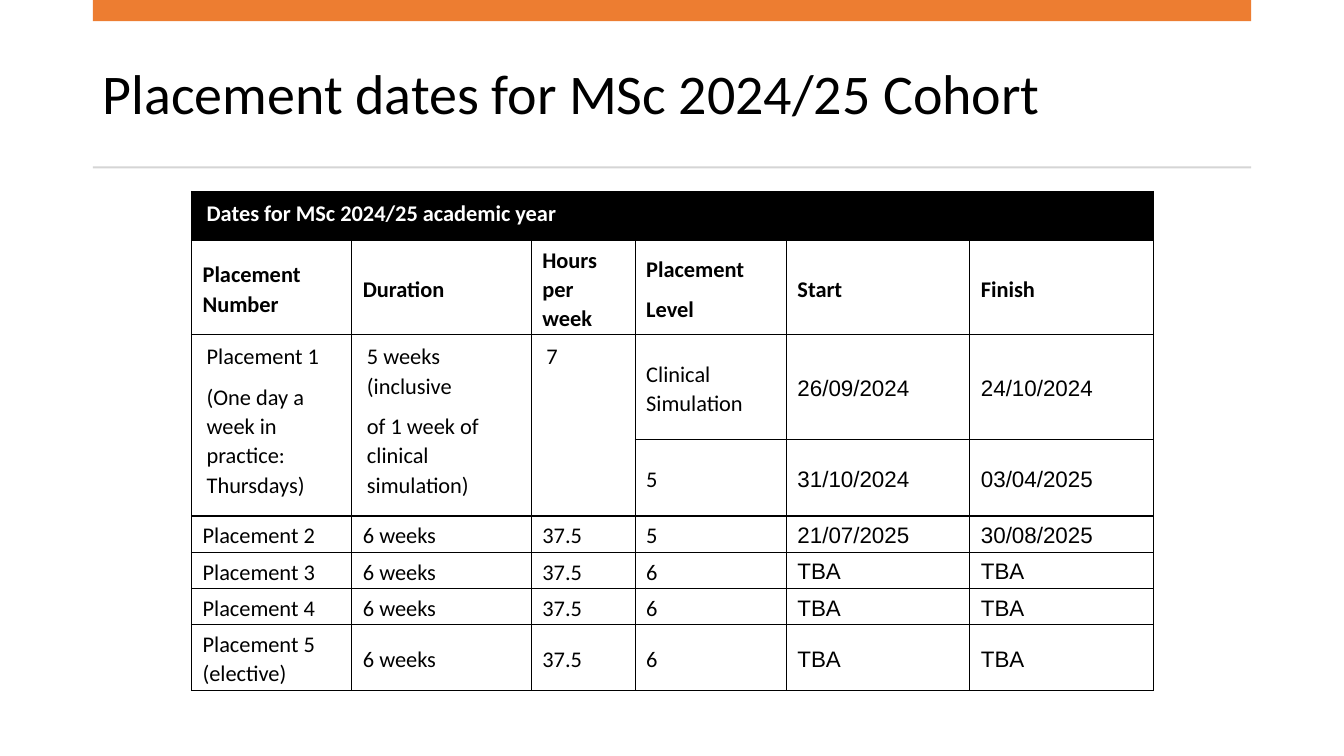
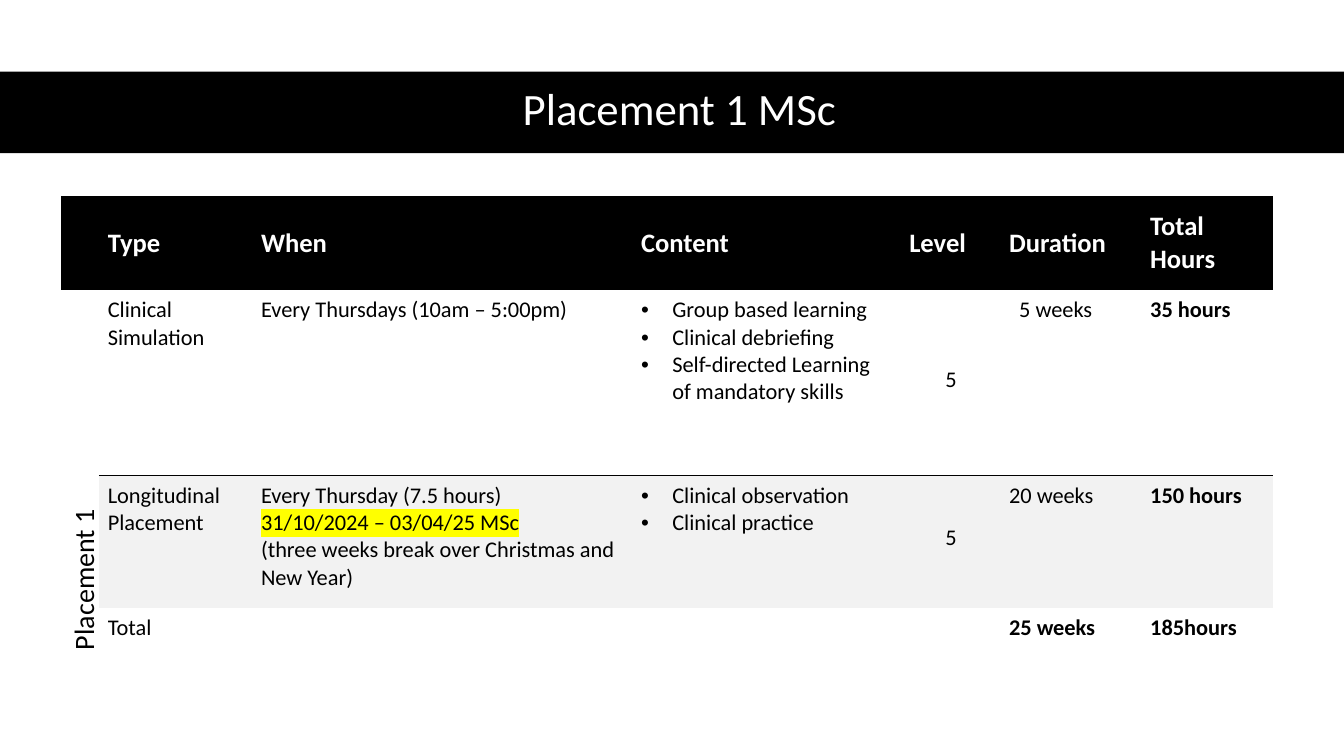
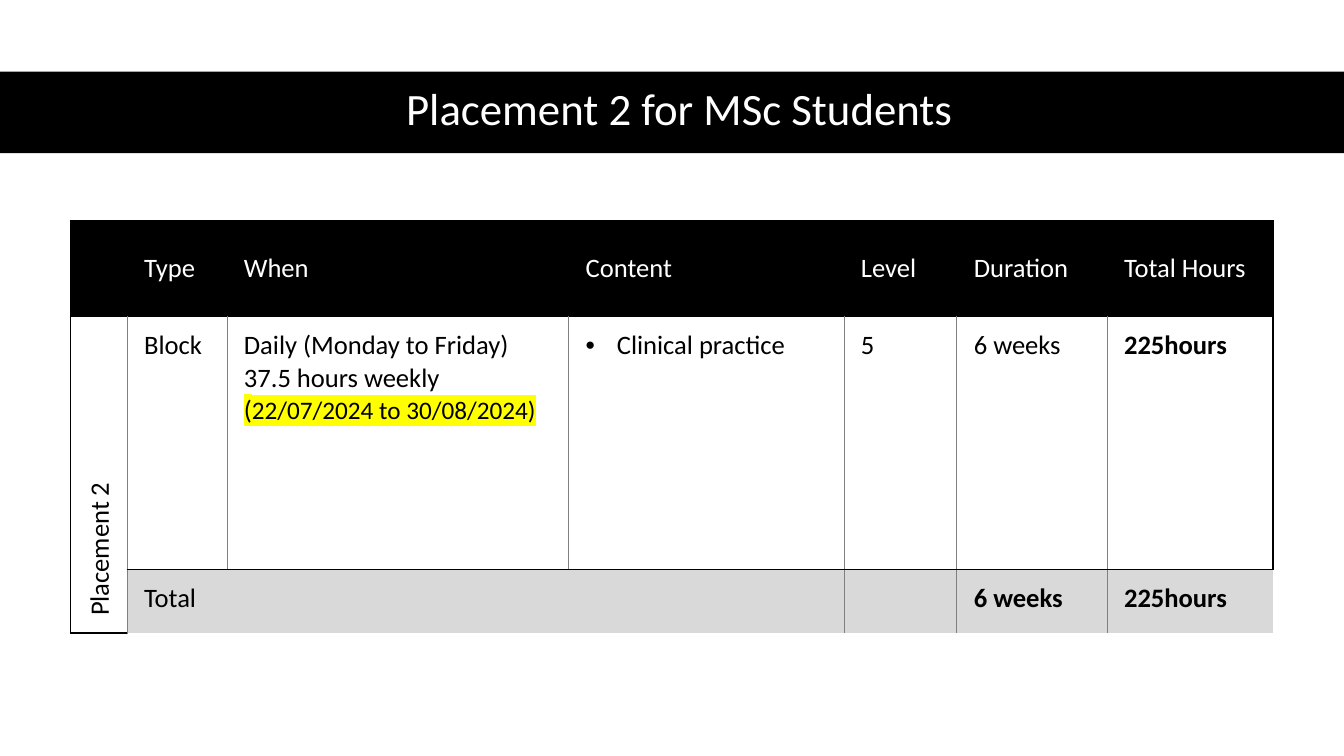
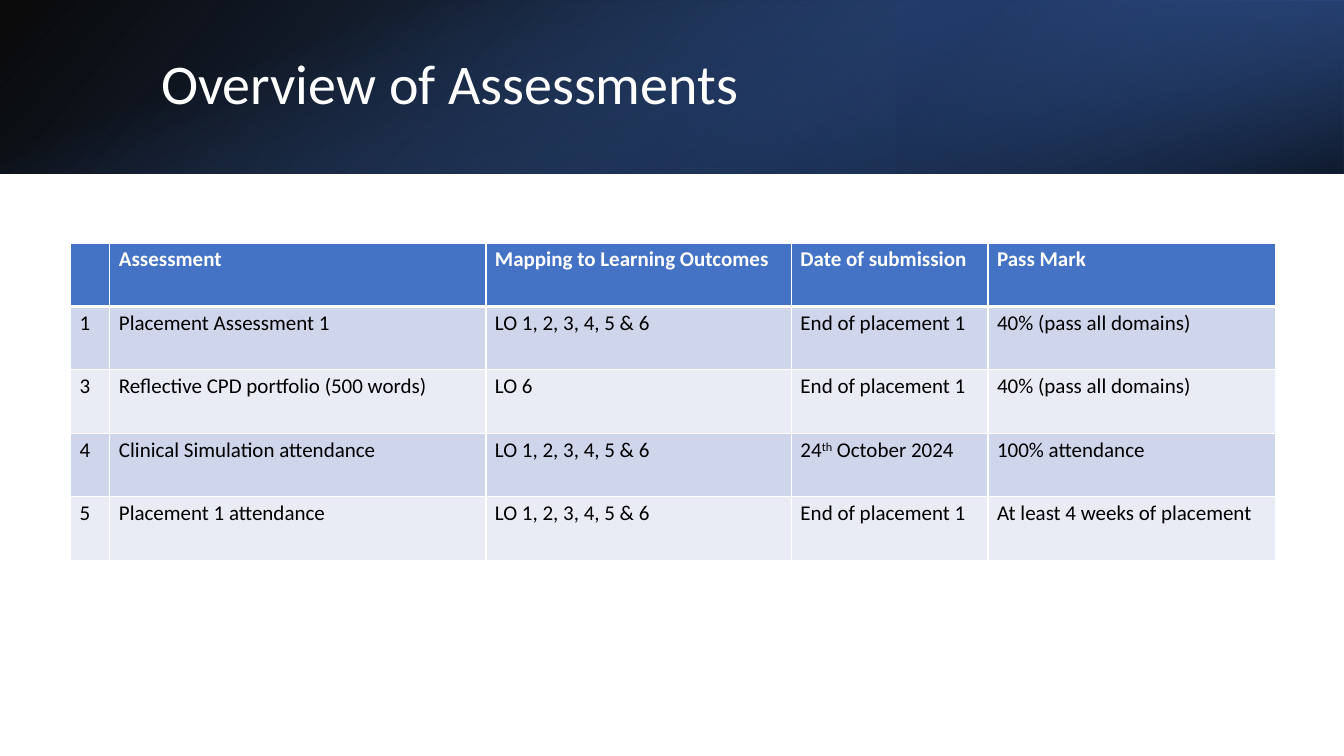
from lxml import etree
from pptx import Presentation
from pptx import util as u
from pptx.dml.color import RGBColor
from pptx.enum import shapes, text
from pptx.oxml.ns import qn

BLACK, WHITE = "000000", "FFFFFF"
ORANGE, RULE_GREY, LINE_GREY = "ED7D31", "D5D5D5", "808080"
BAND_GREY, TOTAL_GREY, YELLOW = "F2F2F2", "D9D9D9", "FFFF00"
BLUE, NAVY, MID_BLUE = "4472C4", "203864", "2F5597"
STRIPES = ["CFD5EA", "E9EBF5"]

MIDDLE = text.MSO_ANCHOR.MIDDLE
CENTER = text.PP_ALIGN.CENTER
FONT_KEYS = ["name", "size", "bold"]
PARA_KEYS = ["alignment", "line_spacing", "space_after"]
BASE = {"name": "Calibri", "color": BLACK, "bold": False}


def rgb(value):
    return RGBColor.from_string(value)


def apply(obj, fmt, keys):
    for key in keys:
        if key in fmt:
            setattr(obj, key, fmt[key])


def add(parent, tag, **attrs):
    return etree.SubElement(parent, qn(tag), {k: str(v) for k, v in attrs.items()})


def write_run(p, content, fmt):
    r = p.add_run()
    r.text = content
    apply(r.font, fmt, FONT_KEYS)
    r.font.color.rgb = rgb(fmt["color"])
    props = r.font._element
    if "highlight" in fmt:
        mark = etree.Element(qn("a:highlight"))
        add(mark, "a:srgbClr", val=fmt["highlight"])
        props.find(qn("a:solidFill")).addnext(mark)
    if "baseline" in fmt:
        props.set("baseline", str(fmt["baseline"] * 1000))


def write_text(tf, paragraphs, fmt):
    for i, runs in enumerate(paragraphs):
        p = tf.add_paragraph() if i else tf.paragraphs[0]
        props = p._p.get_or_add_pPr()
        if "indent" in fmt:
            props.set("marL", str(u.Inches(fmt["indent"])))
        if "bullet" in fmt:
            props.set("indent", str(-u.Inches(fmt["indent"])))
            add(props, "a:buFont", typeface="Arial")
            add(props, "a:buChar", char=fmt["bullet"])
        apply(p, fmt, PARA_KEYS)
        for run in [runs] if isinstance(runs, str) else runs:
            content, extra = (run, {}) if isinstance(run, str) else run
            write_run(p, content, fmt | extra)


def add_rect(s, left, top, width, height, fill=None, gradient=None, angle=0, rotation=0, flip=False):
    sp = s.shapes.add_shape(shapes.MSO_SHAPE.RECTANGLE, *map(u.Inches, (left, top, width, height)))
    if gradient:
        grad = add(sp._element.spPr, "a:gradFill", rotWithShape=1)
        stops = add(grad, "a:gsLst")
        for position, color, opacity in gradient:
            stop = add(stops, "a:gs", pos=position * 1000)
            add(add(stop, "a:srgbClr", val=color), "a:alpha", val=opacity * 1000)
        add(grad, "a:lin", ang=angle * 60000, scaled=0)
    else:
        sp.fill.solid()
        sp.fill.fore_color.rgb = rgb(fill)
    sp.line.fill.background()
    sp.shadow.inherit = False
    sp.rotation = rotation
    if flip:
        sp._element.spPr.find(qn("a:xfrm")).set("flipH", "1")


def add_title(s, content, left, top, width, height, **fmt):
    tf = s.shapes.add_textbox(*map(u.Inches, (left, top, width, height))).text_frame
    tf.word_wrap = True
    tf.vertical_anchor = MIDDLE
    write_text(tf, [content], BASE | {"line_spacing": 0.9} | fmt)


def cell(*paragraphs, **fmt):
    return paragraphs, fmt


def style_cell(c, fmt):
    props = c._tc.get_or_add_tcPr()
    for side in "LRTB":
        color, width = fmt.get("borders", {}).get(side, (None, 0))
        line = add(props, "a:ln" + side, w=u.Pt(width))
        if color:
            add(add(line, "a:solidFill"), "a:srgbClr", val=color)
        else:
            add(line, "a:noFill")
    if "fill" in fmt:
        c.fill.solid()
        c.fill.fore_color.rgb = rgb(fmt["fill"])
    else:
        c.fill.background()


def fill_cell(c, paragraphs, fmt):
    sides = ["margin_left", "margin_top", "margin_right", "margin_bottom"]
    apply(c, dict(zip(sides, map(u.Inches, fmt["margins"]))), sides)
    apply(c, fmt, ["vertical_anchor"])
    if "vert" in fmt:
        c._tc.get_or_add_tcPr().set("vert", fmt["vert"])
    write_text(c.text_frame, paragraphs, fmt)


def add_table(s, left, top, widths, rows, **table_fmt):
    heights = [height for height, _, _ in rows]
    frame = s.shapes.add_table(len(rows), len(widths), *map(
        u.Inches, (left, top, sum(widths), sum(heights))))
    tbl = frame.table
    tbl.first_row = tbl.horz_banding = False
    for column, width in zip(tbl.columns, widths):
        column.width = u.Inches(width)
    for i, (height, row_fmt, cells) in enumerate(rows):
        tbl.rows[i].height = u.Inches(height)
        for j, item in enumerate(cells):
            paragraphs, extra = item if isinstance(item, tuple) else ([item] if item else [], {})
            fmt = BASE | table_fmt | row_fmt | extra
            c = tbl.cell(i, j)
            style_cell(c, fmt)
            if paragraphs:
                fill_cell(c, paragraphs, fmt)
            if "span" in fmt:
                down, across = fmt["span"]
                c.merge(tbl.cell(i + down - 1, j + across - 1))


def frame_lines(color, width, sides="LRTB"):
    return {side: (color, width) for side in sides}


def bullets(*items):
    return cell(*items, bullet="•", indent=0.31)


def new_slide(prs):
    return prs.slides.add_slide(prs.slide_layouts[6])


def band_slide(prs, title):
    s = new_slide(prs)
    add_rect(s, 0, 0.71, 13.33, 0.81, BLACK)
    add_title(s, title, 0.61, 0.7, 12.26, 0.81, size=u.Pt(32), color=WHITE, alignment=CENTER)
    return s


def dates_slide(prs):
    s = new_slide(prs)
    add_title(s, "Placement dates for MSc 2024/25 Cohort", 0.92, 0.37, 11.49, 1.18, size=u.Pt(40))
    add_rect(s, 0.92, 0, 11.49, 0.21, ORANGE)
    add_rect(s, 0.92, 1.65, 11.49, 0.02, RULE_GREY)

    tight = {"vertical_anchor": MIDDLE, "margins": (0.11, 0.02, 0.11, 0)}
    roomy = {"vertical_anchor": text.MSO_ANCHOR.TOP, "margins": (0.15, 0.07, 0.15, 0.07)}
    tall = roomy | {"span": (2, 1)}

    def dated(height, *cells):
        return height, tight, [*cells[:-2], *(cell(d, name="Arial") for d in cells[-2:])]

    rows = [
        (0.49, roomy | {"fill": BLACK, "color": WHITE, "bold": True},
         [cell("Dates for MSc 2024/25 academic year", span=(1, 6))] + [None] * 5),
        (0.93, tight | {"bold": True},
         ["Placement Number", "Duration", "Hours per week", cell("Placement", "Level"), "Start", "Finish"]),
        dated(1.04,
              cell("Placement 1", "(One day a week in practice: Thursdays)", **tall),
              cell("5 weeks (inclusive", "of 1 week of clinical simulation)", **tall),
              cell("7", **tall), "Clinical Simulation", "26/09/2024", "24/10/2024"),
        dated(0.76, None, None, None, "5", "31/10/2024", "03/04/2025"),
    ]
    blocks = [
        (0.36, "Placement 2", "5", "21/07/2025", "30/08/2025"),
        (0.36, "Placement 3", "6", "TBA", "TBA"),
        (0.36, "Placement 4", "6", "TBA", "TBA"),
        (0.65, "Placement 5 (elective)", "6", "TBA", "TBA"),
    ]
    rows += [dated(height, name, "6 weeks", "37.5", *rest) for height, name, *rest in blocks]
    add_table(s, 1.9, 1.9, [1.59, 1.78, 1.03, 1.5, 1.82, 1.82], rows, size=u.Pt(16),
              line_spacing=1.07, space_after=u.Pt(8), borders=frame_lines(BLACK, 1))


def placement_1_slide(prs):
    s = band_slide(prs, "Placement 1 MSc")
    header = {"fill": BLACK, "color": WHITE, "bold": True, "size": u.Pt(19),
              "vertical_anchor": MIDDLE, "margins": (0.09, 0.13, 0.07, 0.13)}
    level = cell("5", alignment=CENTER, vertical_anchor=MIDDLE)
    rows = [
        (0.94, header, [None, "Type", "When", "Content", "Level", "Duration", "Total Hours"]),
        (1.84, {"borders": frame_lines(BLACK, 1, "B")}, [
            cell("Placement 1", span=(3, 1), vert="vert270", size=u.Pt(20),
                 vertical_anchor=MIDDLE, borders={}),
            "Clinical Simulation", "Every Thursdays (10am – 5:00pm)",
            bullets("Group based learning", "Clinical debriefing",
                    "Self-directed Learning of mandatory skills"),
            level, cell("5 weeks", indent=0.1), cell("35 hours", bold=True)]),
        (1.31, {"fill": BAND_GREY, "borders": frame_lines(BLACK, 1, "T")}, [
            cell(borders={}), "Longitudinal Placement",
            cell("Every Thursday (7.5 hours)",
                 [("31/10/2024 – 03/04/25 MSc", {"highlight": YELLOW})],
                 "(three weeks break over Christmas and New Year)"),
            bullets("Clinical observation", "Clinical practice"),
            level, "20 weeks", cell("150 hours", bold=True)]),
        (0.51, {}, [None, cell("Total", span=(1, 3)), None, None, None,
                    cell("25 weeks", bold=True), cell("185hours", bold=True)]),
    ]
    add_table(s, 0.61, 1.94, [0.37, 1.52, 3.77, 2.66, 0.99, 1.4, 1.31], rows,
              size=u.Pt(16), margins=(0.09, 0.06, 0.07, 0.13))


def placement_2_slide(prs):
    s = band_slide(prs, "Placement 2 for MSc Students")
    thin = frame_lines(LINE_GREY, 0.5, "LR")
    body = thin | frame_lines(BLACK, 1.5, "B")
    total = thin | frame_lines(BLACK, 1.5, "T")
    side = body | frame_lines(BLACK, 1.5, "L")
    marked = {"highlight": YELLOW}
    rows = [
        (0.95, {"fill": BLACK, "color": WHITE, "vertical_anchor": MIDDLE,
                "borders": frame_lines(BLACK, 1.5)},
         [None, "Type", "When", "Content", "Level", "Duration", "Total Hours"]),
        (2.51, {"borders": body}, [
            cell("Placement 2", span=(2, 1), vert="vert270", borders=side),
            "Block",
            cell("Daily (Monday to Friday)",
                 ["37.5 hours weekly ", ("(", marked),
                  ("22/07/2024 to 30/08/2024)", marked | {"size": u.Pt(18)})]),
            bullets("Clinical practice"), "5", "6 weeks",
            cell("225hours", bold=True, borders=body | frame_lines(BLACK, 1.5, "R"))]),
        (0.63, {"fill": TOTAL_GREY, "borders": total}, [
            cell(borders=side), cell("Total", span=(1, 3)), None, None, None,
            cell("6 weeks", bold=True),
            cell("225hours", bold=True, borders={k: total[k] for k in "LT"})]),
    ]
    add_table(s, 0.7, 2.19, [0.56, 0.99, 3.39, 2.73, 1.12, 1.49, 1.65], rows,
              size=u.Pt(19), margins=(0.17, 0.13, 0.15, 0.13))


def assessments_slide(prs):
    s = new_slide(prs)
    add_rect(s, 0, 0, 13.33, 1.72, gradient=[(0, BLACK, 96), (100, MID_BLUE, 100)],
             angle=140, flip=True)
    add_rect(s, 8.89, 0, 4.44, 1.72, gradient=[(19, NAVY, 68), (100, BLUE, 79)],
             angle=320, rotation=180, flip=True)
    add_rect(s, 5.8, -5.8, 1.72, 13.33, gradient=[(23, BLUE, 0), (99, BLACK, 74)],
             angle=340, rotation=90)
    add_title(s, "Overview of Assessments", 1.5, 0.38, 10.98, 0.96, size=u.Pt(40), color=WHITE)

    grid = frame_lines(WHITE, 1)
    thick = frame_lines(WHITE, 3, "B")
    all_outcomes, end, pass_mark = "LO 1, 2, 3, 4, 5 & 6", "End of placement 1", "40% (pass all domains)"
    october = cell(["24", ("th", {"baseline": 30}), " October 2024"])
    assessments = [
        ["1", "Placement Assessment 1", all_outcomes, end, pass_mark],
        ["3", "Reflective CPD portfolio (500 words)", "LO 6", end, pass_mark],
        ["4", "Clinical Simulation attendance", all_outcomes, october, "100% attendance"],
        ["5", "Placement 1 attendance", all_outcomes, end, "At least 4 weeks of placement"],
    ]
    rows = [(0.63, {"fill": BLUE, "color": WHITE, "bold": True, "borders": grid | thick},
             [None, "Assessment", "Mapping to Learning Outcomes", "Date of submission", "Pass Mark"])]
    for i, cells in enumerate(assessments):
        borders = grid if i else grid | frame_lines(WHITE, 3, "T")
        rows.append((0.63, {"fill": STRIPES[i % 2], "borders": borders}, cells))
    add_table(s, 0.7, 2.41, [0.39, 3.73, 3.03, 1.95, 2.85], rows,
              size=u.Pt(15), margins=(0.09, 0.04, 0.09, 0.04))


def main():
    prs = Presentation()
    prs.slide_width, prs.slide_height = u.Inches(13.33), u.Inches(7.5)
    dates_slide(prs)
    placement_1_slide(prs)
    placement_2_slide(prs)
    assessments_slide(prs)
    prs.save("out.pptx")


if __name__ == "__main__":
    main()
